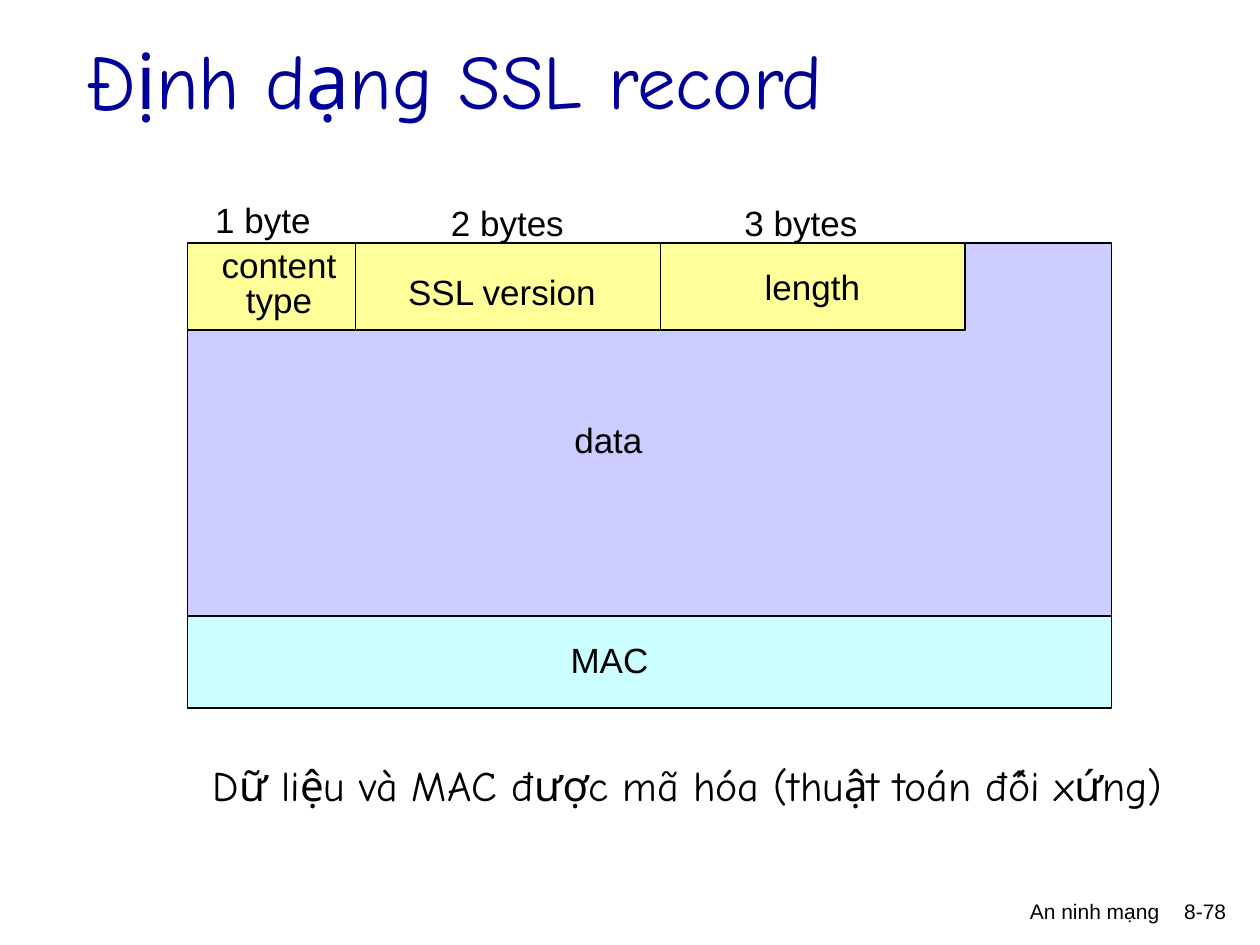
from typing import NamedTuple

import pptx
import pptx.dml.color
import pptx.enum.shapes
import pptx.enum.text
import pptx.util

Inches = pptx.util.Inches
Pt = pptx.util.Pt
Align = pptx.enum.text.PP_ALIGN
Anchor = pptx.enum.text.MSO_ANCHOR
Fit = pptx.enum.text.MSO_AUTO_SIZE

LEFT, TOP, WIDE, HEAD = 1.49, 1.93, 7.33, 0.69
BLACK, YELLOW = "000000", "FFFF99"


class Block(NamedTuple):
    left: float
    top: float
    width: float
    height: float
    fill: str


class Label(NamedTuple):
    text: str
    left: float
    top: float
    width: float


def color(code: str) -> pptx.dml.color.RGBColor:
    return pptx.dml.color.RGBColor.from_string(code)


def draw_block(slide, block: Block) -> None:
    shape = slide.shapes.add_shape(
        pptx.enum.shapes.MSO_SHAPE.RECTANGLE, *map(Inches, block[:4]))
    shape.shadow.inherit = False
    shape.fill.solid()
    shape.fill.fore_color.rgb = color(block.fill)
    shape.line.color.rgb = color(BLACK)
    shape.line.width = Pt(0.75)


def draw_text(slide, text: str, left: float, top: float, width: float,
              height: float = 0.44, *, size: int = 20, font: str = "Arial",
              ink: str = BLACK, align=Align.LEFT, anchor=Anchor.TOP,
              space: int | None = None, wrap: bool = False) -> None:
    box = slide.shapes.add_textbox(*map(Inches, (left, top, width, height)))
    frame = box.text_frame
    frame.text = text
    frame.word_wrap = wrap
    frame.auto_size = Fit.NONE if wrap else Fit.SHAPE_TO_FIT_TEXT
    frame.vertical_anchor = anchor
    for para in frame.paragraphs:
        para.alignment = align
        if space:
            para.line_spacing = Pt(space)
        para.font.size = Pt(size)
        para.font.name = font
        para.font.color.rgb = color(ink)


def main() -> None:
    """Build the slide that shows the layout of an SSL record."""
    deck = pptx.Presentation()
    deck.slide_width, deck.slide_height = Inches(10), Inches(7.5)
    slide = deck.slides.add_slide(deck.slide_layouts[6])

    for text, left, width in (("8-78", 9.09, 0.74), ("An ninh mạng", 5.08, 4.22)):
        draw_text(slide, text, left, 7.08, width, 0.34,
                  size=12, align=Align.RIGHT, wrap=True)
    draw_text(slide, "Định dạng SSL record", 0.58, 0, 8.5, 1.25, size=44,
              font="Comic Neue", ink="000099", anchor=Anchor.MIDDLE, wrap=True)

    draw_block(slide, Block(LEFT, TOP, WIDE, 3.13, "CCCCFF"))
    left = LEFT
    for width in (1.33, 2.42, 2.42):
        draw_block(slide, Block(left, TOP, width, HEAD, YELLOW))
        left += width
    draw_block(slide, Block(LEFT, 4.89, WIDE, 0.73, "CCFFFF"))

    draw_text(slide, "content\ntype", 1.66, 1.94, 1.11, 0.66,
              align=Align.CENTER, space=20)
    labels = (
        Label("SSL version", 3.14, 2.1, 1.7),
        Label("length", 5.97, 2.06, 0.96),
        Label("MAC", 4.43, 5.02, 0.82),
        Label("data", 4.46, 3.27, 0.74),
        Label("1 byte", 1.61, 1.53, 0.96),
        Label("2 bytes", 3.48, 1.55, 1.15),
        Label("3 bytes", 5.81, 1.55, 1.15),
    )
    for label in labels:
        draw_text(slide, *label)
    draw_text(slide, "Dữ liệu và MAC được mã hóa (thuật toán đối xứng)",
              1.59, 5.98, 7.75, 0.5, size=24, font="Comic Neue")

    deck.save("out.pptx")


if __name__ == "__main__":
    main()
